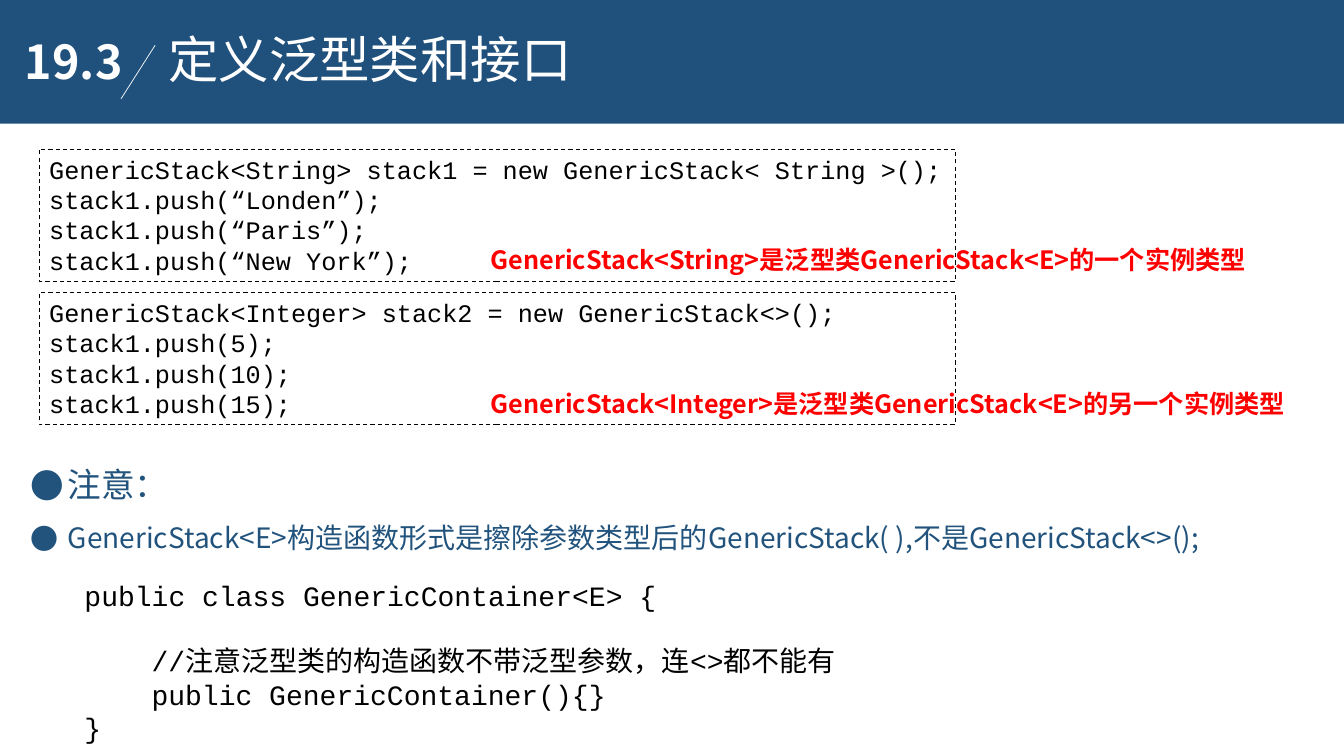
from lxml import etree
from pptx import Presentation
from pptx.dml.color import RGBColor
from pptx.enum.dml import MSO_LINE
from pptx.enum.shapes import MSO_CONNECTOR, MSO_SHAPE
from pptx.enum.text import MSO_ANCHOR, MSO_AUTO_SIZE, PP_ALIGN
from pptx.oxml.ns import qn
from pptx.util import Cm, Pt

RECTANGLE = MSO_SHAPE.RECTANGLE
STRAIGHT = MSO_CONNECTOR.STRAIGHT
DASH = MSO_LINE.DASH
TOP, MIDDLE = MSO_ANCHOR.TOP, MSO_ANCHOR.MIDDLE
LEFT = PP_ALIGN.LEFT
NO_FIT = MSO_AUTO_SIZE.NONE
TITLE_ONLY = 5

SANS, MONO = "Noto Sans CJK SC", "Courier New"
BAND, INK, RED = "20517C", "21537D", "FF0000"
WHITE, BLACK = "FFFFFF", "000000"
PAGE_WIDTH, PAGE_HEIGHT = 33.87, 19.05

EXAMPLES = [
    (["GenericStack<String> stack1 = new GenericStack< String >();",
      "stack1.push(“Londen”);",
      "stack1.push(“Paris”);",
      "stack1.push(“New York”);"],
     "GenericStack<String>是泛型类GenericStack<E>的一个实例类型", 20.17),
    (["GenericStack<Integer> stack2 = new GenericStack<>();",
      "stack1.push(5);",
      "stack1.push(10);",
      "stack1.push(15);"],
     "GenericStack<Integer>是泛型类GenericStack<E>的另一个实例类型", 21.21),
]
NOTES = [
    ("注意：", 24),
    ("GenericStack<E>构造函数形式是擦除参数类型后的GenericStack( ),不是GenericStack<>();", 20),
]
# Text, indent level and space before in points
CONTAINER_CODE = [
    ("public class GenericContainer<E> {", 0, 0),
    ("//注意泛型类的构造函数不带泛型参数，连<>都不能有", 1, 22.6),
    ("public GenericContainer(){}", 1, 0),
    ("}", 0, 0),
]


def colour(value):
    return RGBColor.from_string(value)


def format_para(para, size, font, ink, bold=False):
    para.alignment = LEFT
    for span in para.runs:
        span.font.size = Pt(size)
        span.font.name = font
        span.font.bold = bold
        span.font.color.rgb = colour(ink)
        east_asian = etree.Element(qn("a:ea"), typeface=SANS)
        span.font._element.find(qn("a:latin")).addnext(east_asian)


def write_lines(shape, lines, size, font, ink, bold=False, wrap=True, anchor=TOP):
    frame = shape.text_frame
    frame.text = "\n".join(lines)
    frame.word_wrap = wrap
    frame.auto_size = NO_FIT
    frame.vertical_anchor = anchor
    for para in frame.paragraphs:
        format_para(para, size, font, ink, bold)
    return frame.paragraphs


def add_text(page, box, lines, size, font, ink, **options):
    shape = page.shapes.add_textbox(*map(Cm, box))
    return write_lines(shape, lines, size, font, ink, **options)


def add_header(page, box):
    left, top, width, height = box
    band = page.shapes.add_shape(RECTANGLE, *map(Cm, box))
    band.shadow.inherit = False
    band.fill.solid()
    band.fill.fore_color.rgb = colour(BAND)
    band.line.fill.background()

    # Slash between the number and the title
    slash = page.shapes.add_connector(
        STRAIGHT, Cm(left + 3.91), Cm(top + 1.14), Cm(left + 3.05), Cm(top + 2.49))
    slash.line.color.rgb = colour(WHITE)
    slash.line.width = Pt(0.5)
    etree.SubElement(slash._element.spPr, qn("a:effectLst"))

    number = add_text(page, (left + 0.38, top + 0.97, 2.97, 1.37), ["19.3"],
                      33.3, SANS, WHITE, bold=True, anchor=MIDDLE)
    number[0].line_spacing = 0.8

    # Title placeholder, brought in front of the band
    title = page.shapes.title
    title.left, title.top = Cm(left + 3.99), Cm(top + 0.97)
    title.width, title.height = Cm(12.75), Cm(1.37)
    paras = write_lines(title, ["定义泛型类和接口"], 36, SANS, WHITE, anchor=MIDDLE)
    paras[0].line_spacing = 0.7
    page.shapes._spTree.append(title._element)


def add_example(page, box, lines, remark, remark_width):
    left, top, width, height = box
    frame = page.shapes.add_shape(RECTANGLE, *map(Cm, box))
    frame.shadow.inherit = False
    frame.fill.background()
    frame.line.color.rgb = colour(BLACK)
    frame.line.width = Pt(0.75)
    frame.line.dash_style = DASH
    write_lines(frame, lines, 18, MONO, BLACK)
    add_text(page, (left + 11.13, top + 2.28, remark_width, 1.03), [remark],
             18, SANS, RED, bold=True, wrap=False)


def add_notes(page, box):
    paras = add_text(page, box, [text for text, size in NOTES], 20, SANS, INK)
    for para, (text, size) in zip(paras, NOTES):
        para.line_spacing = 1.5
        para.runs[0].font.size = Pt(size)
        properties = para._p.get_or_add_pPr()
        properties.set("marL", str(Cm(0.95)))
        properties.set("indent", str(-Cm(0.95)))
        etree.SubElement(properties, qn("a:buFont"), typeface=SANS)
        etree.SubElement(properties, qn("a:buChar"), char="●")


def add_container_code(page, box):
    paras = add_text(page, box, [line[0] for line in CONTAINER_CODE], 20, MONO, BLACK)
    for para, (text, level, space) in zip(paras, CONTAINER_CODE):
        para.space_before = Pt(space)
        para._p.get_or_add_pPr().set("marL", str(Cm(1.69 * level)))


def main():
    deck = Presentation()
    deck.slide_width, deck.slide_height = Cm(PAGE_WIDTH), Cm(PAGE_HEIGHT)
    page = deck.slides.add_slide(deck.slide_layouts[TITLE_ONLY])

    add_header(page, (0, 0, PAGE_WIDTH, 3.12))
    for index, (lines, remark, remark_width) in enumerate(EXAMPLES):
        box = (0.99, 3.76 + 3.61 * index, 23.09, 3.33)
        add_example(page, box, lines, remark, remark_width)
    add_notes(page, (0.51, 11.05, 33.3, 2.92))
    add_container_code(page, (1.88, 14.45, 20.57, 4.52))

    deck.save("out.pptx")


if __name__ == "__main__":
    main()
